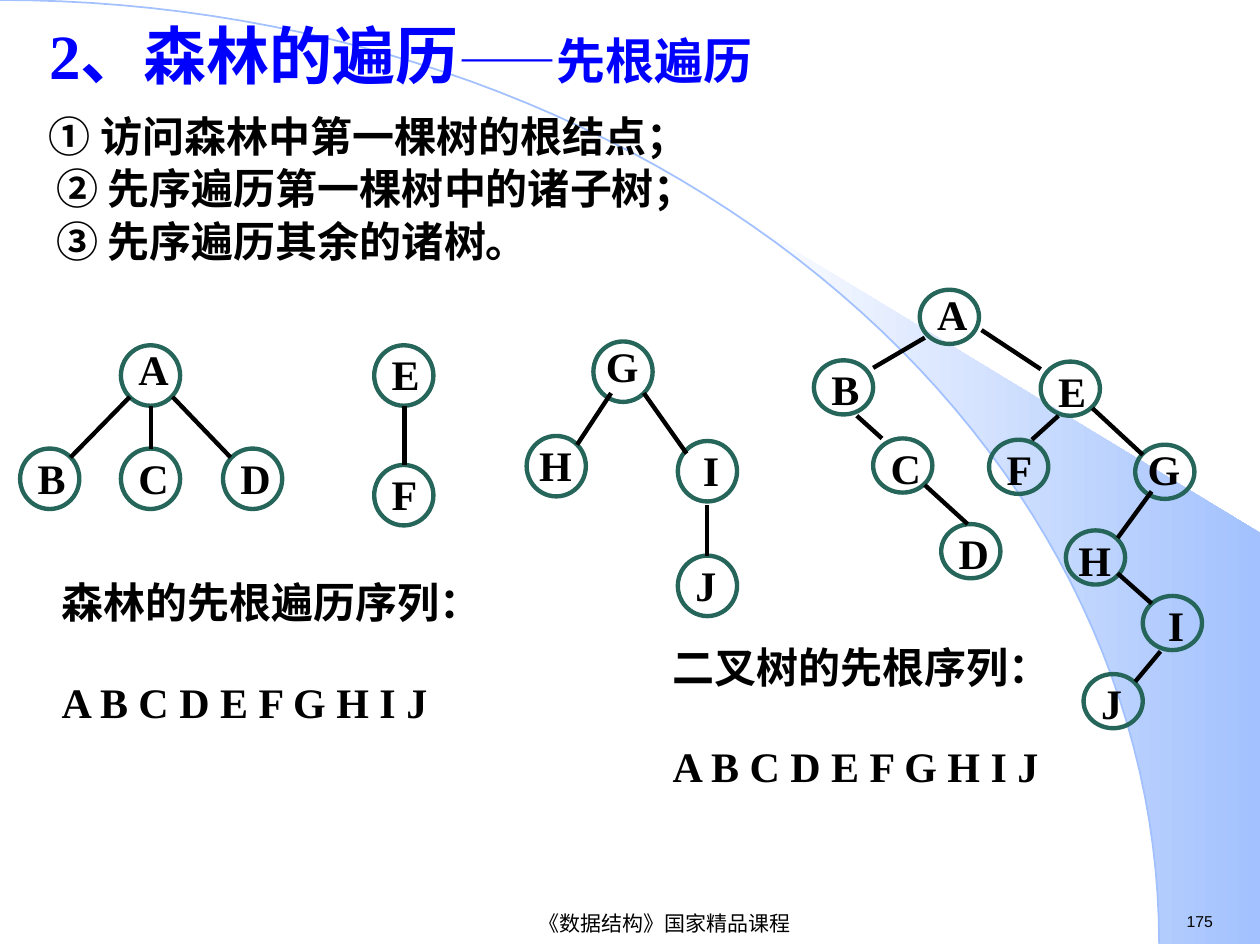
from math import asin, cos, pi, sin

from lxml import etree
from pptx import Presentation
from pptx.dml.color import RGBColor
from pptx.enum.shapes import MSO_CONNECTOR as Connector, MSO_SHAPE as Shape
from pptx.enum.text import MSO_ANCHOR as Anchor, MSO_AUTO_SIZE as AutoSize, PP_ALIGN as Align
from pptx.oxml.ns import qn
from pptx.util import Inches, Pt

BLACK = RGBColor(0x00, 0x00, 0x00)
BLUE = RGBColor(0x00, 0x00, 0xFF)
GREEN = RGBColor(0x26, 0x66, 0x5A)
WHITE = RGBColor(0xFF, 0xFF, 0xFF)
SKY = RGBColor(0xA2, 0xC1, 0xFE)
SERIF, SANS, HAN = "Times New Roman", "Arial", "Noto Sans CJK SC"

SEQUENCE = "A B C D E F G H I J"
LABEL_SHIFT = {"G": 0, "H": 0, "I": 0.1}

# Each tree: box left and top, node height, nodes (offset in the box), edges (ends in the box)
TREES = [
    (0.16, 2.74, 0.48,
     {"A": (0.8, 0), "B": (0, 0.82), "C": (0.8, 0.82), "D": (1.61, 0.82)},
     [(1.04, 0.48, 1.04, 0.82), (0.87, 0.41, 0.4, 0.89), (1.21, 0.41, 1.67, 0.89)]),
    (2.97, 2.74, 0.48,
     {"E": (0, 0), "F": (0, 0.95)},
     [(0.24, 0.48, 0.24, 0.95)]),
    (4.18, 2.71, 0.48,
     {"G": (0.53, 0), "H": (0, 0.75), "I": (1.2, 0.79), "J": (1.2, 1.7)},
     [(0.67, 0.41, 0.4, 0.82), (0.93, 0.41, 1.27, 0.89), (1.43, 1.3, 1.43, 1.7)]),
    (6.46, 2.3, 0.43,
     {"A": (0.84, 0), "B": (0, 0.56), "C": (0.47, 1.18), "D": (1.01, 1.86),
      "E": (1.8, 0.57), "F": (1.39, 1.19), "G": (2.55, 1.23), "H": (2, 1.91),
      "I": (2.61, 2.43), "J": (2.14, 3.05)},
     [(0.88, 0.38, 0.47, 0.62), (0.34, 1, 0.54, 1.18), (0.88, 1.55, 1.22, 1.86),
      (1.33, 0.32, 1.8, 0.63), (1.94, 1, 1.73, 1.19), (2.21, 0.94, 2.61, 1.31),
      (2.68, 1.6, 2.41, 1.97), (2.41, 2.25, 2.68, 2.49), (2.75, 2.87, 2.55, 3.11)]),
]


def add_span(para, text, size, font=SERIF, color=BLACK, bold=True):
    span = para.add_run()
    span.text = text
    span.font.name = font
    span.font.size = Pt(size)
    span.font.bold = bold
    span.font.color.rgb = color
    east_asian = etree.SubElement(span.font._element, qn("a:ea"))
    east_asian.set("typeface", HAN)


def add_box(page, left, top, width, height, wrap=True):
    box = page.shapes.add_textbox(Inches(left), Inches(top), Inches(width), Inches(height))
    box.text_frame.word_wrap = wrap
    return box.text_frame


def add_outline(page, points, closed):
    scaled = [(Inches(x), Inches(y)) for x, y in points]
    builder = page.shapes.build_freeform(*scaled[0], scale=1.0)
    builder.add_line_segments(scaled[1:], close=closed)
    outline = builder.convert_to_shape()
    outline.shadow.inherit = False
    return outline


def add_backdrop(page, width, height):
    """A quarter ellipse across the page and a shaded beam beside its lower part."""
    radius, bottom, steps = 9.2, 7.49, 60

    def arc(start):
        angles = [start + (pi / 2 - start) * step / steps for step in range(steps + 1)]
        return [(radius * sin(angle), bottom * (1 - cos(angle))) for angle in angles]

    beam_points = arc(asin(5.89 / radius)) + [(width, bottom), (width, 4.23)]
    beam = add_outline(page, beam_points, closed=True)
    beam.line.fill.background()
    beam.fill.gradient()
    beam.fill.gradient_angle = 0
    for stop, color, position in zip(beam.fill.gradient_stops, (WHITE, SKY), (0, 1)):
        stop.color.rgb = color
        stop.position = position

    curve = add_outline(page, arc(0), closed=False)
    curve.fill.background()
    curve.line.color.rgb = SKY
    curve.line.width = Pt(1)


def set_title(page, left, top, width, height):
    title = page.shapes.title
    title.left, title.top = Inches(left), Inches(top)
    title.width, title.height = Inches(width), Inches(height)
    title.element.getparent().append(title.element)  # in front of the backdrop
    frame = title.text_frame
    frame.auto_size = AutoSize.NONE
    frame.vertical_anchor = Anchor.TOP
    para = frame.paragraphs[0]
    para.alignment = Align.LEFT
    add_span(para, "2、森林的遍历", 36, color=BLUE)
    add_span(para, "——先根遍历", 28, HAN, BLUE)


def add_steps(page, left, top, width, height):
    frame = add_box(page, left, top, width, height)
    steps = ["① 访问森林中第一棵树的根结点；", "② 先序遍历第一棵树中的诸子树；", "③ 先序遍历其余的诸树。"]
    for index, step in enumerate(steps):
        para = frame.paragraphs[0]
        if index:
            para = frame.add_paragraph()
            para.space_before = Pt(1)
            para._p.get_or_add_pPr().set("marL", str(Inches(0.06)))
        add_span(para, step, 24)


def add_node(page, left, top, height, letter):
    width = 0.47
    ring = page.shapes.add_shape(Shape.OVAL, Inches(left), Inches(top), Inches(width), Inches(height))
    ring.shadow.inherit = False
    ring.fill.background()
    ring.line.color.rgb = GREEN
    ring.line.width = Pt(2.5)
    label = add_box(page, left + LABEL_SHIFT.get(letter, 0.04), top - 0.06, width, 0.54)
    para = label.paragraphs[0]
    if letter not in "AG":
        para.line_spacing = 1.1
    add_span(para, letter, 24)


def add_tree(page, left, top, node_height, nodes, edges):
    for letter, (x, y) in nodes.items():
        add_node(page, left + x, top + y, node_height, letter)
    for x1, y1, x2, y2 in edges:
        edge = page.shapes.add_connector(
            Connector.STRAIGHT, Inches(left + x1), Inches(top + y1), Inches(left + x2), Inches(top + y2))
        edge.line.color.rgb = BLACK
        edge.line.width = Pt(2.5)
        etree.SubElement(edge._element.spPr, qn("a:effectLst"))


def add_sequence(page, left, top, width, height, heading):
    frame = add_box(page, left, top, width, height)
    add_span(frame.paragraphs[0], heading, 24)
    para = frame.add_paragraph()
    para.space_before = Pt(28)
    add_span(para, SEQUENCE, 24)


def add_footer(page):
    course = add_box(page, 2.4, 7.21, 5.75, 0.24, wrap=False)
    course.vertical_anchor = Anchor.MIDDLE
    course.paragraphs[0].alignment = Align.CENTER
    add_span(course.paragraphs[0], "《数据结构》国家精品课程", 12, SANS, bold=False)
    number = add_box(page, 9.32, 7.19, 0.77, 0.25)
    add_span(number.paragraphs[0], "175", 9, SANS, bold=False)


def main():
    deck = Presentation()
    deck.slide_width, deck.slide_height = Inches(10), Inches(7.5)
    page = deck.slides.add_slide(deck.slide_layouts[5])
    add_backdrop(page, 10, 7.5)
    set_title(page, 0.29, 0.08, 9.6, 0.8)
    add_steps(page, 0.29, 0.83, 6, 1.6)
    for tree in TREES:
        add_tree(page, *tree)
    add_sequence(page, 0.39, 4.53, 4.68, 1.31, "森林的先根遍历序列：")
    add_sequence(page, 5.24, 5.04, 3.35, 1.31, "二叉树的先根序列：")
    add_footer(page)
    deck.save("out.pptx")


if __name__ == "__main__":
    main()
